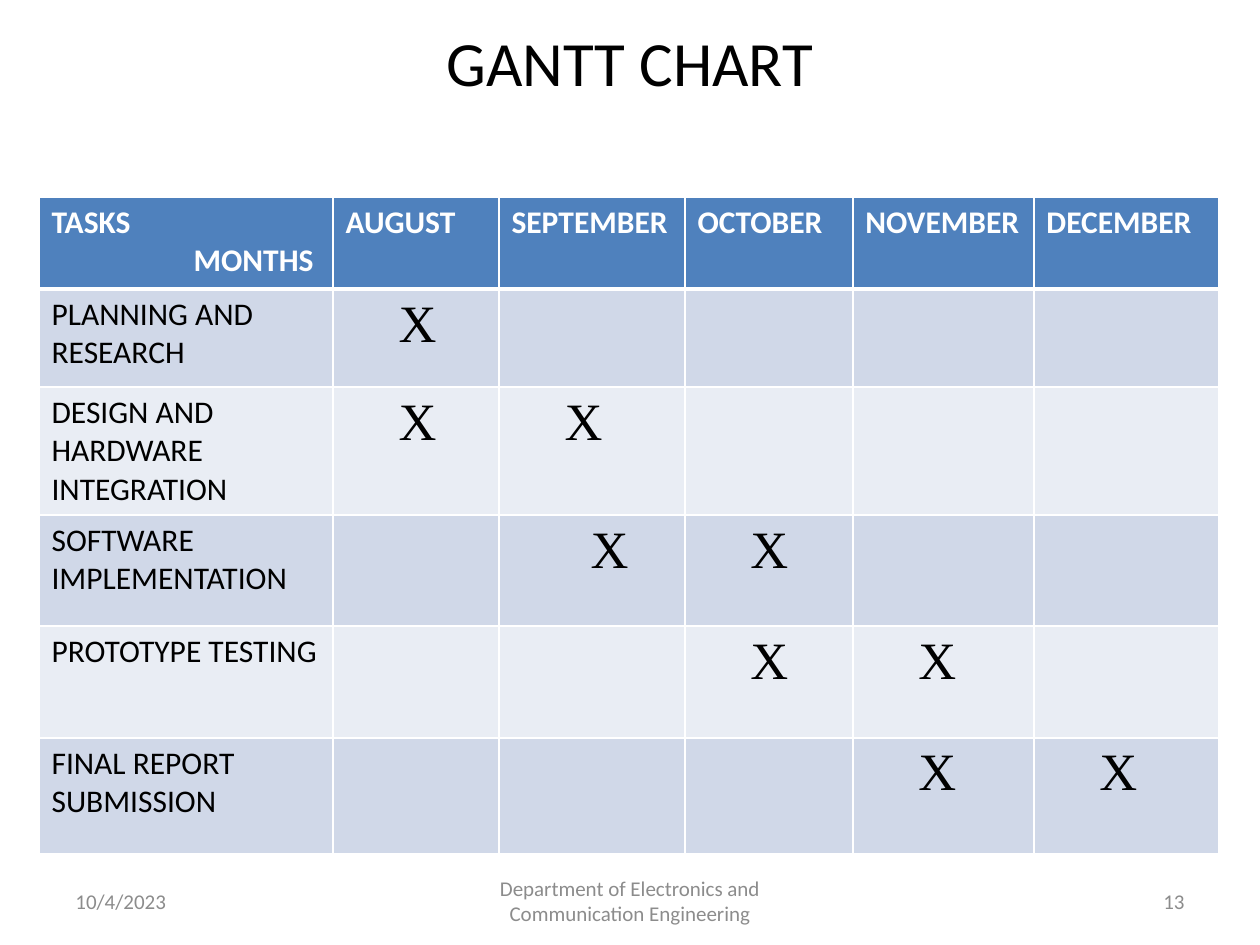
import pptx
import pptx.util
import pptx.oxml
import pptx.dml.color
import pptx.enum.text
from pptx.oxml.ns import qn

EMU_PER_PX = 914400 / 126
COLORS = {
    "black": "000000",
    "white": "FFFFFF",
    "header": "4F81BD",
    "odd_row": "D0D8E8",
    "even_row": "E9EDF4",
    "footer": "8C8C8C",
}
ALIGN = pptx.enum.text.PP_ALIGN
MIDDLE = pptx.enum.text.MSO_ANCHOR.MIDDLE

TITLE_FORMAT = {"name": "Calibri", "size": 36, "bold": False, "color": "black"}
HEADER_FORMAT = {"name": "Calibri", "size": 18, "bold": True, "color": "white"}
TASK_FORMAT = {"name": "Calibri", "size": 18, "bold": False, "color": "black"}
MARK_FORMAT = {"name": "Times New Roman", "size": 30, "bold": False, "color": "black"}
FOOTER_FORMAT = {"name": "Calibri", "size": 12, "bold": False, "color": "footer"}

MONTHS = ["AUGUST", "SEPTEMBER", "OCTOBER", "NOVEMBER", "DECEMBER"]
MARK_INDENT = 53
WIDE_MARK_INDENT = 79
MONTHS_INDENT = 142
TASKS = [
    ("PLANNING AND RESEARCH", {"AUGUST": MARK_INDENT}),
    ("DESIGN AND HARDWARE INTEGRATION", {"AUGUST": MARK_INDENT, "SEPTEMBER": MARK_INDENT}),
    ("SOFTWARE IMPLEMENTATION", {"SEPTEMBER": WIDE_MARK_INDENT, "OCTOBER": MARK_INDENT}),
    ("PROTOTYPE TESTING", {"OCTOBER": MARK_INDENT, "NOVEMBER": MARK_INDENT}),
    ("FINAL REPORT SUBMISSION", {"NOVEMBER": MARK_INDENT, "DECEMBER": MARK_INDENT}),
]
COLUMN_WIDTHS = [294, 166, 186, 168, 181, 185]
ROW_HEIGHTS = [92, 98, 126, 111, 112, 116]


def px(length):
    return pptx.util.Emu(round(length * EMU_PER_PX))


def rgb(color):
    return pptx.dml.color.RGBColor.from_string(COLORS[color])


def write(paragraph, text, text_format, alignment=ALIGN.LEFT, indent=0):
    paragraph.alignment = alignment
    if indent:
        paragraph._p.get_or_add_pPr().set("marL", str(px(indent)))
    run = paragraph.add_run()
    run.text = text
    for attribute, value in text_format.items():
        if attribute == "color":
            run.font.color.rgb = rgb(value)
        elif attribute == "size":
            run.font.size = pptx.util.Pt(value)
        else:
            setattr(run.font, attribute, value)


def style_cell(cell, fill, bottom_width):
    cell.fill.solid()
    cell.fill.fore_color.rgb = rgb(fill)
    properties = cell._tc.get_or_add_tcPr()
    widths = {"a:lnL": 1, "a:lnR": 1, "a:lnT": 1, "a:lnB": bottom_width}
    for position, (tag, width) in enumerate(widths.items()):
        line = pptx.oxml.parse_xml(
            '<%s xmlns:a="http://schemas.openxmlformats.org/drawingml/2006/main" w="%d">'
            '<a:solidFill><a:srgbClr val="%s"/></a:solidFill></%s>'
            % (tag, pptx.util.Pt(width), COLORS["white"], tag)
        )
        properties.insert(position, line)


def add_title(slide, left, top, width, height):
    title = slide.shapes.title
    box = {"left": left, "top": top, "width": width, "height": height}
    for attribute, value in box.items():
        setattr(title, attribute, px(value))
    title.text_frame.vertical_anchor = MIDDLE
    write(title.text_frame.paragraphs[0], "GANTT CHART", TITLE_FORMAT, ALIGN.CENTER)


def add_schedule(slide, left, top):
    table = slide.shapes.add_table(
        len(ROW_HEIGHTS), len(COLUMN_WIDTHS),
        px(left), px(top), px(sum(COLUMN_WIDTHS)), px(sum(ROW_HEIGHTS)),
    ).table
    for column, width in zip(table.columns, COLUMN_WIDTHS):
        column.width = px(width)
    for row_index, height in enumerate(ROW_HEIGHTS):
        row = table.rows[row_index]
        row.height = px(height)
        fill = "header" if row_index == 0 else ("even_row", "odd_row")[row_index % 2]
        for cell in row.cells:
            style_cell(cell, fill, 3 if row_index == 0 else 1)

    corner = table.cell(0, 0).text_frame
    write(corner.paragraphs[0], "TASKS", HEADER_FORMAT)
    write(corner.add_paragraph(), "MONTHS", HEADER_FORMAT, indent=MONTHS_INDENT)
    for column_index, month in enumerate(MONTHS, 1):
        write(table.cell(0, column_index).text_frame.paragraphs[0], month, HEADER_FORMAT)
    for row_index, (task, marks) in enumerate(TASKS, 1):
        write(table.cell(row_index, 0).text_frame.paragraphs[0], task, TASK_FORMAT)
        for month, indent in marks.items():
            cell = table.cell(row_index, MONTHS.index(month) + 1)
            write(cell.text_frame.paragraphs[0], "X", MARK_FORMAT, indent=indent)


def add_footer(slide, left, top, width, height):
    side_width = 294
    center_width = 400
    items = [
        ("10/4/2023", 0, side_width, ALIGN.LEFT),
        ("Department of Electronics and Communication Engineering",
         (width - center_width) // 2, center_width, ALIGN.CENTER),
        ("13", width - side_width, side_width, ALIGN.RIGHT),
    ]
    for text, offset, item_width, alignment in items:
        shape = slide.shapes.add_textbox(px(left + offset), px(top), px(item_width), px(height))
        shape.text_frame.word_wrap = True
        shape.text_frame.vertical_anchor = MIDDLE
        write(shape.text_frame.paragraphs[0], text, FOOTER_FORMAT, alignment)


def main():
    presentation = pptx.Presentation()
    presentation.slide_width = px(1260)
    presentation.slide_height = px(945)
    slide = presentation.slides.add_slide(presentation.slide_layouts[5])
    add_title(slide, 63, -18, 1134, 158)
    add_schedule(slide, 39, 197)
    add_footer(slide, 63, 876, 1134, 50)
    presentation.save("out.pptx")


if __name__ == "__main__":
    main()
